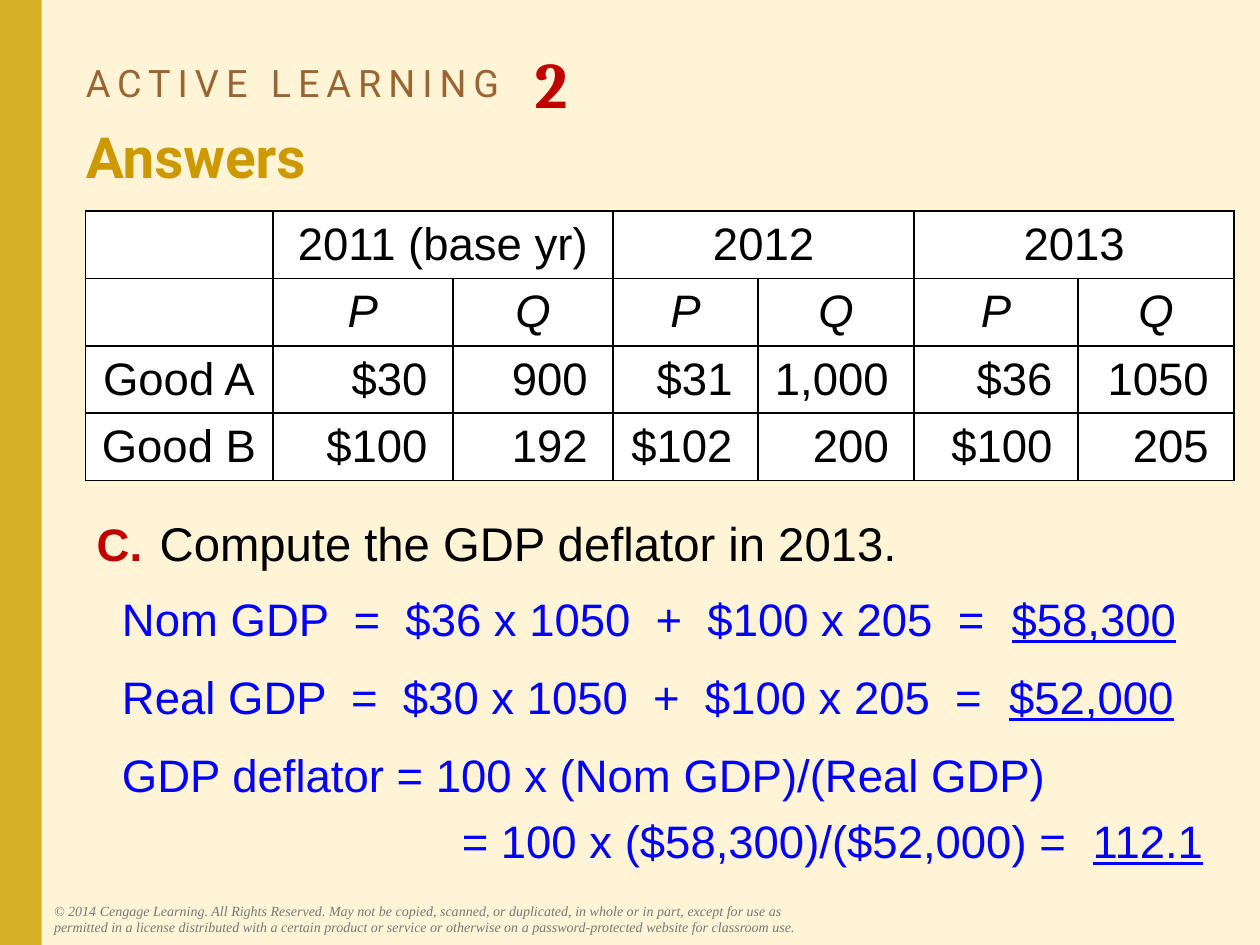
from typing import NamedTuple

import pptx
import pptx.dml.color
import pptx.enum.shapes
import pptx.enum.text
import pptx.oxml
import pptx.oxml.ns
import pptx.util
from lxml import etree
from pptx.util import Cm, Pt

ALIGN = pptx.enum.text.PP_ALIGN
ANCHOR = pptx.enum.text.MSO_ANCHOR
BLACK, BLUE, RED = "000000", "0000FF", "C00000"


class Run(NamedTuple):
    text: str
    size: float | None = None
    color: str | None = None
    bold: bool | None = None
    font: str | None = None
    underline: bool | None = None


class Step(NamedTuple):
    formula: str
    result: str
    left: float  # cm
    before: float  # pt


TABLE_COLS = [3.78, 3.63, 3.23, 2.92, 3.15, 3.3, 3.15]
ROW_HEIGHT = 1.36
YEARS = ["2011 (base yr)", "2012", "2013"]
GOODS = [
    ["Good A", "$30", "900", "$31", "1,000", "$36", "1050"],
    ["Good B", "$100", "192", "$102", "200", "$100", "205"],
]
STEPS = [
    Step("Nom GDP  =  $36 x 1050  +  $100 x 205  =  ", "$58,300", 0.51, 9.8),
    Step("Real GDP  =  $30 x 1050  +  $100 x 205  =  ", "$52,000", 0.51, 11.7),
    Step("GDP deflator = 100 x (Nom GDP)/(Real GDP)", "", 0.51, 11.7),
    Step("= 100 x ($58,300)/($52,000) =  ", "112.1", 7.36, 5.2),
]
COPYRIGHT = (
    "© 2014 Cengage Learning. All Rights Reserved. May not be copied, scanned, or "
    "duplicated, in whole or in part, except for use as permitted in a license "
    "distributed with a certain product or service or otherwise on a "
    "password-protected website for classroom use."
)


def rgb(value: str) -> pptx.dml.color.RGBColor:
    return pptx.dml.color.RGBColor.from_string(value)


def style(font, size=None, color=None, bold=None, name=None, italic=None) -> None:
    if size:
        font.size = Pt(size)
    if color:
        font.color.rgb = rgb(color)
    if name:
        font.name = name
    font.bold, font.italic = bold, italic


def add_run(p, run: Run):
    r = p.add_run()
    r.text = run.text
    style(r.font, run.size, run.color, run.bold, run.font)
    r.font.underline = run.underline
    return r


def add_text_box(s, left: float, top: float, width: float, height: float):
    tf = s.shapes.add_textbox(Cm(left), Cm(top), Cm(width), Cm(height)).text_frame
    tf.word_wrap = True
    return tf


def set_indent(p, left: float, first: float = 0) -> None:
    pPr = p._p.get_or_add_pPr()
    pPr.set("marL", str(Cm(left)))
    pPr.set("indent", str(Cm(first)))


def add_tab(p, position: float) -> None:
    tabs = etree.SubElement(p._p.get_or_add_pPr(), pptx.oxml.ns.qn("a:tabLst"))
    etree.SubElement(tabs, pptx.oxml.ns.qn("a:tab"), pos=str(Cm(position)), algn="l")


def set_cell(cell, text: str, align=ALIGN.CENTER, italic: bool = False) -> None:
    tcPr = cell._tc.get_or_add_tcPr()
    for side in ("lnL", "lnR", "lnT", "lnB"):
        tcPr.append(pptx.oxml.parse_xml(
            f'<a:{side} {pptx.oxml.ns.nsdecls("a")} w="{Pt(1)}"><a:solidFill>'
            f'<a:srgbClr val="{BLACK}"/></a:solidFill></a:{side}>'))
    cell.fill.solid()
    cell.fill.fore_color.rgb = rgb("FFFFFF")
    cell.vertical_anchor = ANCHOR.MIDDLE
    if align == ALIGN.RIGHT:
        cell.margin_left, cell.margin_right = Cm(0.13), Cm(0.51)
    p = cell.text_frame.paragraphs[0]
    p.alignment = align
    style(p.font, 26, BLACK, name="Arial", italic=italic)
    if text:
        p.add_run().text = text


def add_gdp_table(s) -> None:
    rows = [[""] + [t for year in YEARS for t in (year, "")], [""] + ["P", "Q"] * 3, *GOODS]
    table = s.shapes.add_table(
        len(rows), len(TABLE_COLS), Cm(1.72), Cm(4.25),
        Cm(sum(TABLE_COLS)), Cm(ROW_HEIGHT * len(rows))).table
    table.first_row = table.horz_banding = False
    for col, width in zip(table.columns, TABLE_COLS):
        col.width = Cm(width)
    for i, row in enumerate(rows):
        table.rows[i].height = Cm(ROW_HEIGHT)
        for j, text in enumerate(row):
            align = ALIGN.RIGHT if i > 1 and j > 0 else ALIGN.CENTER
            set_cell(table.cell(i, j), text, align, italic=i == 1)
    for j in range(1, len(TABLE_COLS), 2):
        table.cell(0, j).merge(table.cell(0, j + 1))


def add_title(s) -> None:
    tf = add_text_box(s, 1.48, 0.45, 22.81, 2.64)
    tf.vertical_anchor = ANCHOR.MIDDLE
    p = tf.paragraphs[0]
    add_tab(p, 9.05)
    r = add_run(p, Run("ACTIVE LEARNING", 21.6, "996633", font="Roboto"))
    r._r.get_or_add_rPr().set("spc", "400")
    add_run(p, Run("\t", 21.6, font="Roboto"))
    r = add_run(p, Run("2", 63.9, RED, True, "Cambria"))
    r._r.get_or_add_rPr().set("baseline", "-10000")
    p.add_line_break()
    add_run(p, Run("Answers", 32.4, "CC9900", True, "Roboto"))


def add_solution(s) -> None:
    tf = add_text_box(s, 1.7, 10.19, 22.83, 8.18)
    tf.margin_right = 0
    p = tf.paragraphs[0]
    set_indent(p, 1.27, -1.27)
    p.line_spacing = 1.05
    add_run(p, Run("C.\t", 26, RED, True, "Arial"))
    add_run(p, Run("Compute the GDP deflator in 2013.", 27, BLACK, font="Arial"))
    for step in STEPS:
        p = tf.add_paragraph()
        set_indent(p, step.left)
        p.line_spacing, p.space_before = 1.05, Pt(step.before)
        style(p.font, 26, BLUE, name="Arial")
        add_run(p, Run(step.formula))
        if step.result:
            add_run(p, Run(step.result, underline=True))


def main() -> None:
    prs = pptx.Presentation()
    prs.slide_width, prs.slide_height = Cm(25.4), Cm(19.05)
    s = prs.slides.add_slide(prs.slide_layouts[6])
    s.background.fill.solid()
    s.background.fill.fore_color.rgb = rgb("FFF4D5")

    # Side band
    sp = s.shapes.add_shape(
        pptx.enum.shapes.MSO_SHAPE.RECTANGLE, 0, 0, Cm(0.84), prs.slide_height)
    sp.shadow.inherit = False
    sp.fill.solid()
    sp.fill.fore_color.rgb = rgb("D6B128")
    sp.line.fill.background()

    add_title(s)

    # Copyright line
    p = add_text_box(s, 0.84, 18.06, 15.7, 0.94).paragraphs[0]
    style(p.font, 8, "777777", name="Times New Roman", italic=True)
    p.add_run().text = COPYRIGHT

    add_solution(s)
    add_gdp_table(s)
    prs.save("out.pptx")


if __name__ == "__main__":
    main()
